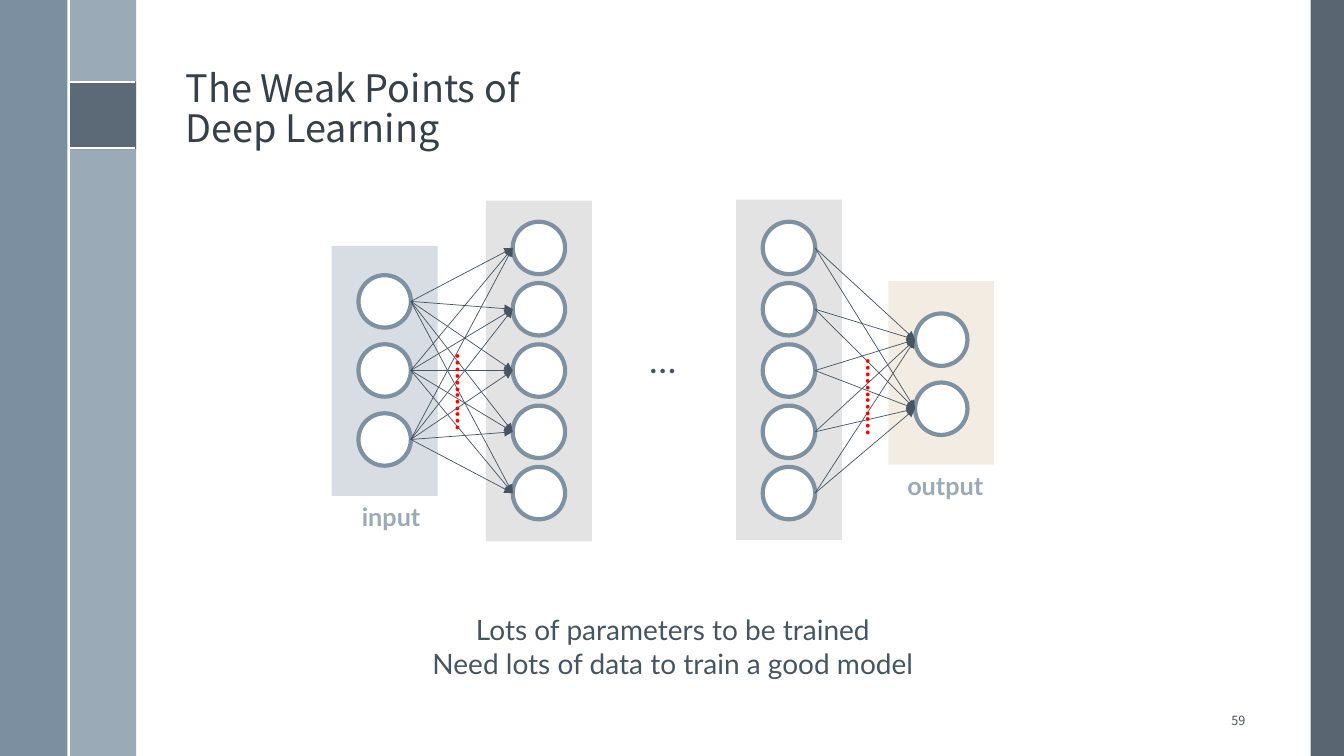
from lxml import etree
from pptx import Presentation
from pptx.dml.color import RGBColor
from pptx.enum.shapes import MSO_CONNECTOR, MSO_SHAPE
from pptx.enum.text import MSO_ANCHOR, MSO_AUTO_SIZE, PP_ALIGN
from pptx.oxml.ns import qn
from pptx.util import Inches, Pt

RECTANGLE, OVAL = MSO_SHAPE.RECTANGLE, MSO_SHAPE.OVAL
STRAIGHT = MSO_CONNECTOR.STRAIGHT
LEFT, CENTER, RIGHT = PP_ALIGN.LEFT, PP_ALIGN.CENTER, PP_ALIGN.RIGHT
TOP, MIDDLE, BOTTOM = MSO_ANCHOR.TOP, MSO_ANCHOR.MIDDLE, MSO_ANCHOR.BOTTOM
FIT, NO_FIT = MSO_AUTO_SIZE.SHAPE_TO_FIT_TEXT, MSO_AUTO_SIZE.NONE

COLORS = {
    "white": "FFFFFF", "slate": "475562", "steel": "6A8093", "mist": "9BAAB7",
    "title": "35404A", "text": "465562", "ring": "7D91A2", "red": "FF0000",
    "input": "D7DDE2", "hidden": "E3E3E3", "output": "F2ECE2",
}
HEADING_FONT, BODY_FONT = "Noto Sans CJK TC", "Lato"
NEURON = 0.52
LAYER_WIDTH = 1.05

presentation = Presentation()
presentation.slide_width = Inches(13.33)
presentation.slide_height = Inches(7.5)
slide = presentation.slides.add_slide(presentation.slide_layouts[5])


def add_block(kind, left, top, width, height, fill, alpha=100, ring=None):
    shape = slide.shapes.add_shape(
        kind, Inches(left), Inches(top), Inches(width), Inches(height))
    shape.shadow.inherit = False
    shape.fill.solid()
    shape.fill.fore_color.rgb = RGBColor.from_string(COLORS[fill])
    if alpha < 100:
        color = shape.fill._xPr.find(qn("a:solidFill"))[0]
        etree.SubElement(color, qn("a:alpha")).set("val", str(alpha * 1000))
    if ring:
        shape.line.color.rgb = RGBColor.from_string(COLORS[ring])
        shape.line.width = Pt(3)
    else:
        shape.line.fill.background()


def add_text(text, left, top, width, height, shape=None, size=18, color="text",
             font=BODY_FONT, bold=False, align=LEFT, anchor=TOP, wrap=False,
             spacing=1.0, vertical=False):
    box = (Inches(left), Inches(top), Inches(width), Inches(height))
    if shape is None:
        shape = slide.shapes.add_textbox(*box)
    shape.left, shape.top, shape.width, shape.height = box
    frame = shape.text_frame
    frame.text = text
    frame.word_wrap = wrap
    frame.auto_size = NO_FIT if wrap else FIT
    frame.vertical_anchor = anchor
    if vertical:
        frame._txBody.bodyPr.set("vert", "eaVert")
    for paragraph in frame.paragraphs:
        paragraph.alignment = align
        paragraph.line_spacing = spacing
        for run in paragraph.runs:
            run.font.name = font
            run.font.size = Pt(size)
            run.font.bold = bold
            run.font.color.rgb = RGBColor.from_string(COLORS[color])


# Side bands
add_block(RECTANGLE, 13, 0, 0.33, 7.5, "slate", alpha=90)
add_block(RECTANGLE, 0.68, 0, 0.67, 7.5, "mist")
add_block(RECTANGLE, 0, 0, 0.67, 7.5, "steel", alpha=88)
add_block(RECTANGLE, 0.68, 0.81, 0.67, 0.67, "slate", alpha=75)

# Title, page number and conclusion
add_text("The Weak Points of\vDeep Learning", 1.74, 0.19, 10.7, 1.36,
         shape=slide.shapes.title, size=27, color="title", font=HEADING_FONT,
         anchor=BOTTOM, wrap=True, spacing=0.9)
add_text("59", 11.78, 6.95, 0.67, 0.4, size=9, font=HEADING_FONT,
         align=RIGHT, anchor=MIDDLE, wrap=True)
add_text("Lots of parameters to be trained\n"
         "Need lots of data to train a good model",
         4.16, 6.03, 5.03, 0.77, size=20, align=CENTER)

# Layers: left, top, height, fill, neuron count, first neuron top, neuron pitch
layers = [
    (3.29, 2.44, 2.48, "input", 3, 2.73, 0.685),
    (4.82, 1.99, 3.38, "hidden", 5, 2.2, 0.608),
    (7.3, 1.98, 3.38, "hidden", 5, 2.2, 0.608),
    (8.81, 2.79, 1.82, "output", 2, 3.11, 0.685),
]
neurons = []
for left, top, height, fill, count, first, pitch in layers:
    add_block(RECTANGLE, left, top, LAYER_WIDTH, height, fill)
    neuron_left = left + (LAYER_WIDTH - NEURON) / 2
    neuron_tops = [first + pitch * index for index in range(count)]
    for neuron_top in neuron_tops:
        add_block(OVAL, neuron_left, neuron_top, NEURON, NEURON, "white", ring="ring")
    neurons.append([(neuron_left, neuron_top + NEURON / 2)
                    for neuron_top in neuron_tops])

# Layer labels
add_text("input", 3.49, 4.92, 0.82, 0.4, color="mist", bold=True)
add_text("output", 8.9, 4.62, 0.99, 0.4, color="mist", bold=True)
add_text("…", 6.34, 3.29, 0.57, 0.54, size=26, anchor=MIDDLE)

# White band dividers, then arrows between fully connected layers
lines = [
    (0.68, 0.81, 1.34, 0.81, "white", 1.5, False),
    (0.68, 1.47, 1.34, 1.47, "white", 1.5, False),
    (0.68, 0, 0.68, 7.5, "white", 1.5, False),
]
for sources, targets in (neurons[:2], neurons[2:]):
    lines += [(x1 + NEURON, y1, x2, y2, "text", 0.5, True)
              for x1, y1 in sources for x2, y2 in targets]
for x1, y1, x2, y2, color, weight, arrow in lines:
    connector = slide.shapes.add_connector(
        STRAIGHT, Inches(x1), Inches(y1), Inches(x2), Inches(y2))
    connector.line.color.rgb = RGBColor.from_string(COLORS[color])
    connector.line.width = Pt(weight)
    properties = connector._element.spPr
    if arrow:
        outline = properties.find(qn("a:ln"))
        etree.SubElement(outline, qn("a:tailEnd")).set("type", "triangle")
    etree.SubElement(properties, qn("a:effectLst"))

# Dotted marks over the connections
for left, top in ((4.32, 3.41), (8.39, 3.46)):
    add_text("…………", left, top, 0.5, 1.11, color="red", bold=True, vertical=True)

presentation.save("out.pptx")
